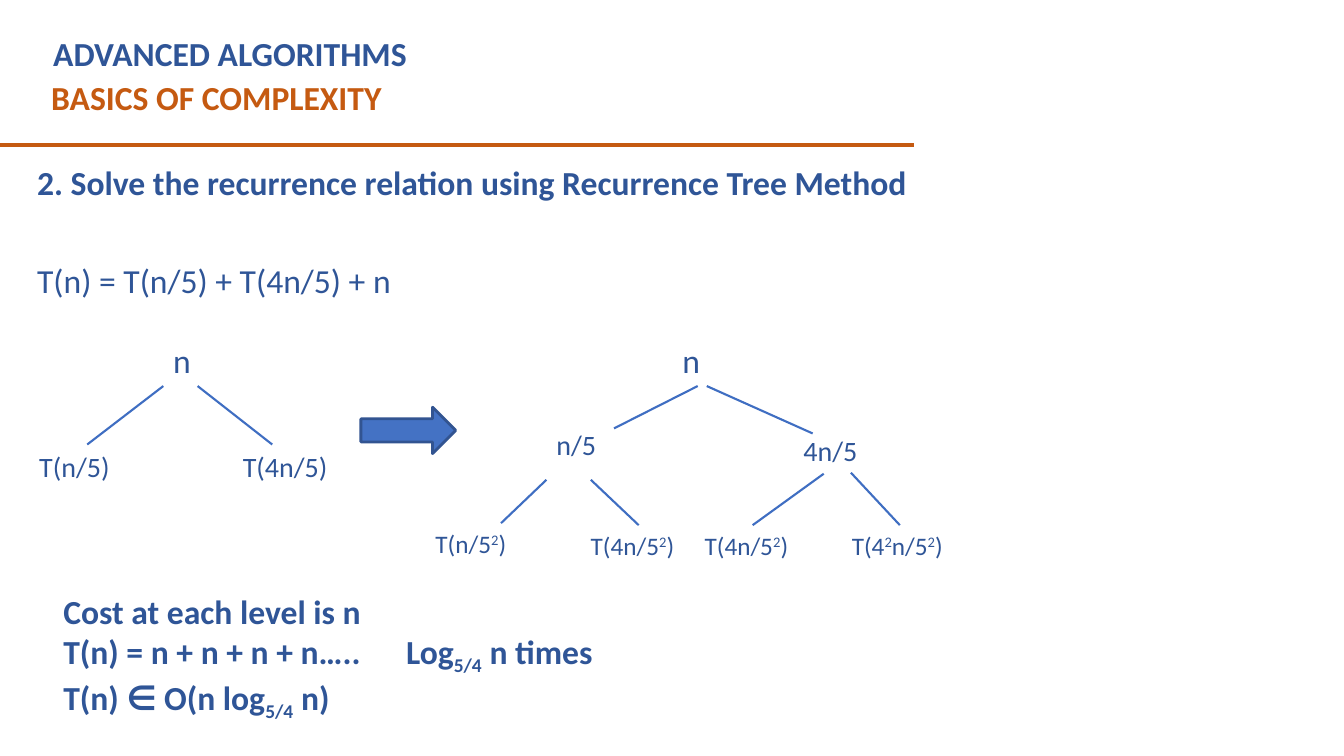
"""Build a slide that solves a recurrence with the recurrence tree method."""
from lxml import etree
from pptx import Presentation
from pptx.dml.color import RGBColor
from pptx.enum.shapes import MSO_CONNECTOR, MSO_SHAPE
from pptx.enum.text import MSO_ANCHOR, PP_ALIGN
from pptx.oxml.ns import qn
from pptx.util import Inches, Pt

STRAIGHT = MSO_CONNECTOR.STRAIGHT
ARROW = MSO_SHAPE.RIGHT_ARROW
MIDDLE = MSO_ANCHOR.MIDDLE
JUSTIFY = PP_ALIGN.JUSTIFY
COLORS = {"blue": "2F5597", "rust": "C55A11", "branch": "3F6EC2",
          "arrow": "4472C4", "edge": "325491"}

deck = Presentation()
deck.slide_width, deck.slide_height = Inches(13.33), Inches(7.5)
slide = deck.slides.add_slide(deck.slide_layouts[6])


def add_text(left, top, width, height, lines, size=24, color="blue", bold=False, shift=30):
    """Add a text box; every second piece between bars is raised or lowered."""
    box = slide.shapes.add_textbox(Inches(left), Inches(top), Inches(width), Inches(height))
    frame = box.text_frame
    frame.word_wrap = True
    frame.text = "\n".join(lines)
    for para in frame.paragraphs:
        parts = para.text.split("|")
        para.text = parts[0]
        for part in parts[1:]:
            para.add_run().text = part
        for i, run in enumerate(para.runs):
            run.font.name = "Calibri"
            run.font.size = Pt(size)
            run.font.bold = bold
            run.font.color.rgb = RGBColor.from_string(COLORS[color])
            if i % 2:
                run.font._element.set("baseline", str(shift * 1000))
    return box


def add_line(start, end, color="branch", width=1.5):
    """Add a straight line without a shadow."""
    line = slide.shapes.add_connector(STRAIGHT, *map(Inches, start + end))
    line.line.color.rgb = RGBColor.from_string(COLORS[color])
    line.line.width = Pt(width)
    etree.SubElement(line._element.spPr, qn("a:effectLst"))
    return line


add_text(0.43, 0.28, 8.2, 0.5, ["ADVANCED ALGORITHMS"], bold=True)
add_text(0.41, 0.71, 8.75, 0.5, ["BASICS OF COMPLEXITY"], color="rust", bold=True)
add_line((-0.01, 1.44), (9.07, 1.44), "rust", 3)

task = add_text(0.27, 1.41, 8.97, 1.77,
                ["2. Solve the recurrence relation using Recurrence Tree Method",
                 "T(n) = T(n/5) + T(4n/5) + n"], bold=True)
frame = task.text_frame
frame.vertical_anchor = MIDDLE
frame.margin_top = frame.margin_bottom = 0
for para, gap in zip(frame.paragraphs, (41.3, 6)):
    para.alignment = JUSTIFY
    para.space_after = Pt(gap)
frame.paragraphs[1].runs[0].font.bold = False

for left in (1.62, 6.67):
    add_text(left, 3.32, 0.67, 0.5, ["n"])

nodes = [
    (0.29, 4.41, 20, "T(n/5)"),
    (2.31, 4.41, 20, "T(4n/5)"),
    (5.42, 4.19, 20, "n/5"),
    (7.87, 4.25, 20, "4n/5"),
    (4.22, 5.19, 18, "T(n/5|2|)"),
    (5.76, 5.21, 18, "T(4n/5|2|)"),
    (6.89, 5.21, 18, "T(4n/5|2|)"),
    (8.35, 5.21, 18, "T(4|2|n/5|2|)"),
]
boxes = [add_text(left, top, 1.15, 0.43, [label], size) for left, top, size, label in nodes]

branches = [
    ((1.62, 3.83), (0.87, 4.41), 0),
    ((1.96, 3.83), (2.7, 4.41), None),
    ((6.92, 3.83), (6.09, 4.25), None),
    ((7.01, 3.83), (8.06, 4.3), None),
    ((5.42, 4.76), (4.97, 5.19), None),
    ((5.86, 4.76), (6.34, 5.21), 5),
    ((8.17, 4.7), (7.47, 5.21), 6),
    ((8.44, 4.69), (8.92, 5.21), 7),
]
for start, end, node in branches:
    branch = add_line(start, end)
    if node is not None:
        branch.end_connect(boxes[node], 0)

arrow = slide.shapes.add_shape(ARROW, Inches(3.58), Inches(4.04), Inches(0.94), Inches(0.46))
arrow.shadow.inherit = False
arrow.fill.solid()
arrow.fill.fore_color.rgb = RGBColor.from_string(COLORS["arrow"])
arrow.line.color.rgb = RGBColor.from_string(COLORS["edge"])
arrow.line.width = Pt(2)

cost = add_text(0.53, 5.81, 8.13, 1.41,
                ["Cost at each level is n",
                 "T(n) = n + n + n + n…..\tLog|5/4| n times",
                 "T(n) ∈ O(n log|5/4| n)"], bold=True, shift=-25)
props = cost.text_frame.paragraphs[1]._p.get_or_add_pPr()
tabs = etree.SubElement(props, qn("a:tabLst"))
etree.SubElement(tabs, qn("a:tab"), pos=str(Inches(3.4)), algn="l")

deck.save("out.pptx")
